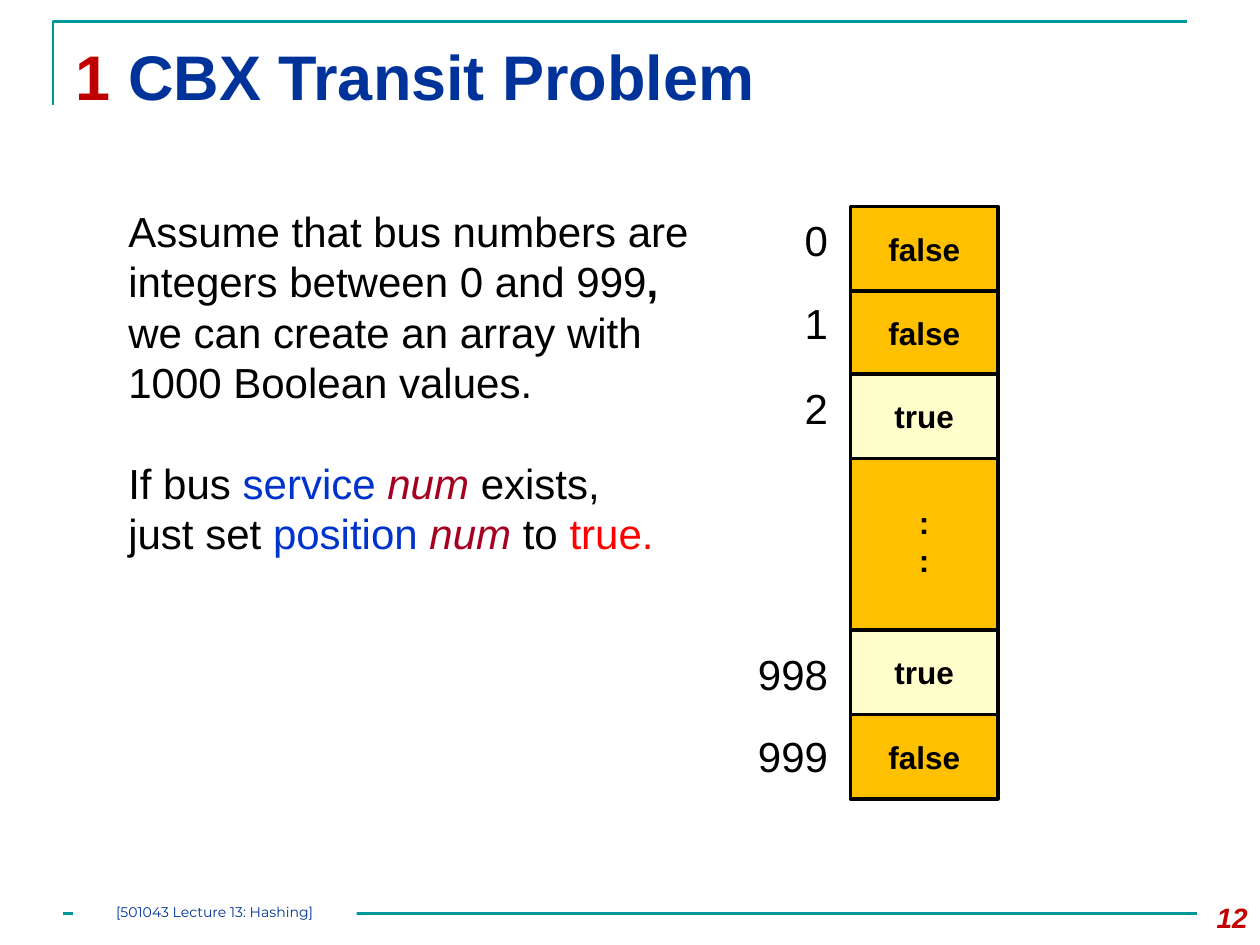
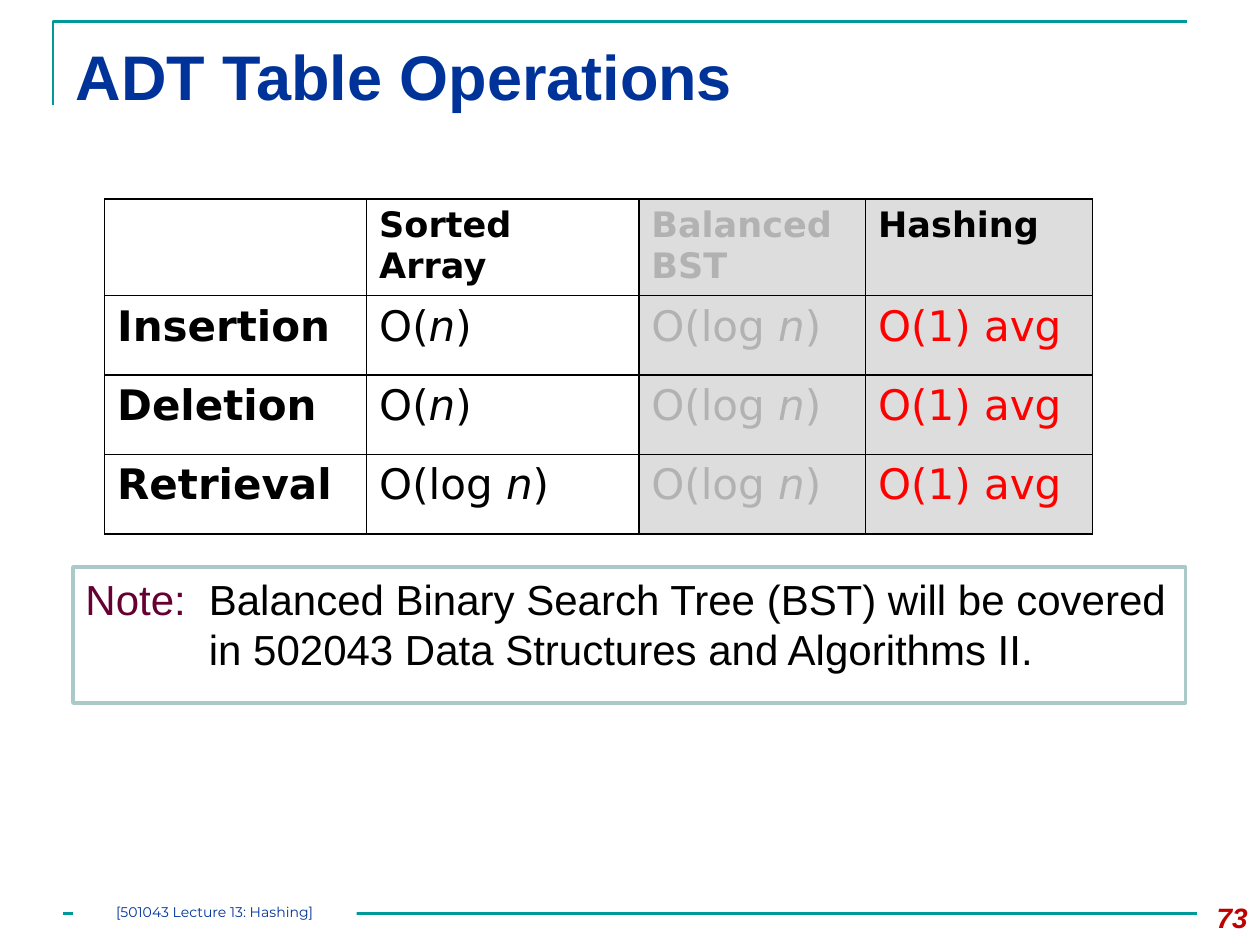
"""Build two lecture slides on hashing: a direct-address bus array and a table of operation costs."""
from lxml import etree
from pptx import Presentation
from pptx.dml.color import RGBColor
from pptx.enum import shapes, text
from pptx.oxml import ns
from pptx.util import Inches, Pt

TEAL, NAVY, CRIMSON, BLACK, WHITE = "009999", "003399", "C00000", "000000", "FFFFFF"
BLUE, WINE, RED = "0033CC", "A50021", "FF0000"
AMBER, CREAM, GREY, PALE_GREY = "FFC000", "FFFFCC", "B2B2B2", "DDDDDD"
LEFT, CENTER, RIGHT = text.PP_ALIGN.LEFT, text.PP_ALIGN.CENTER, text.PP_ALIGN.RIGHT


def write(frame, paragraphs, align=LEFT, anchor=text.MSO_ANCHOR.TOP, margins=(0.1, 0.05), **base):
    """Fill a frame with paragraphs, each a list of (text, format changes) runs."""
    frame.word_wrap = True
    frame.vertical_anchor = anchor
    frame.margin_left = frame.margin_right = Inches(margins[0])
    frame.margin_top = frame.margin_bottom = Inches(margins[1])
    for number, runs in enumerate(paragraphs):
        paragraph = frame.paragraphs[0] if number == 0 else frame.add_paragraph()
        paragraph.alignment = align
        for words, changes in runs:
            style = {"font": "Arial", "size": 24, "color": BLACK, "bold": False, "italic": False}
            style.update(base)
            style.update(changes)
            run = paragraph.add_run()
            run.text = words
            run.font.name = style["font"]
            run.font.size = Pt(style["size"])
            run.font.bold = style["bold"]
            run.font.italic = style["italic"]
            run.font.color.rgb = RGBColor.from_string(style["color"])


def add_box(slide, left, top, width, height, fill=None, line=None):
    """Add a text box, or a rectangle when a fill is given."""
    place = [Inches(length) for length in (left, top, width, height)]
    if fill is None:
        return slide.shapes.add_textbox(*place)
    box = slide.shapes.add_shape(shapes.MSO_SHAPE.RECTANGLE, *place)
    box.shadow.inherit = False
    box.fill.solid()
    box.fill.fore_color.rgb = RGBColor.from_string(fill)
    if line:
        box.line.color.rgb = RGBColor.from_string(line)
        box.line.width = Pt(2)
    else:
        box.line.fill.background()
    return box


deck = Presentation()
deck.slide_width, deck.slide_height = Inches(10), Inches(7.5)

headings = [
    ([("1 ", {"color": CRIMSON}), ("CBX Transit Problem", {})], "12"),
    ([("ADT Table Operations", {})], "73"),
]
slides = []
for heading, page in headings:
    slide = deck.slides.add_slide(deck.slide_layouts[5])
    slides.append(slide)

    outline = slide.shapes.build_freeform(Inches(0.42), Inches(0.83))
    outline.add_line_segments(
        [(Inches(0.42), Inches(0.17)), (Inches(9.42), Inches(0.17))], close=False)
    corner = outline.convert_to_shape()
    corner.fill.background()
    corner.shadow.inherit = False
    rule = slide.shapes.add_connector(
        shapes.MSO_CONNECTOR.STRAIGHT, Inches(0.5), Inches(7.25), Inches(9.5), Inches(7.25))
    etree.SubElement(rule._element.spPr, ns.qn("a:effectLst"))
    for stroke in (corner, rule):
        stroke.line.color.rgb = RGBColor.from_string(TEAL)
        stroke.line.width = Pt(1.5)

    title = slide.shapes.title
    title.left, title.top, title.width, title.height = map(Inches, (0.5, 0.25, 9, 0.86))
    write(title.text_frame, [heading], size=36, bold=True, color=NAVY)
    write(add_box(slide, 9.33, 7.1, 0.67, 0.4).text_frame, [[(page, {})]],
          align=RIGHT, size=16, bold=True, italic=True, color=CRIMSON)
    write(add_box(slide, 0.58, 7.17, 2.25, 0.17, WHITE).text_frame,
          [[("[501043 Lecture 13: Hashing]", {})]],
          align=CENTER, margins=(0, 0), font="Montserrat", size=8, color=NAVY)

array_slide, costs_slide = slides

write(add_box(array_slide, 0.92, 1.58, 4.79, 1.72).text_frame, [
    [("Assume that bus numbers are", {})],
    [("integers between 0 and 999", {}), (",", {"bold": True})],
    [("we can create an array with", {})],
    [("1000 Boolean values.", {})],
])
num = ("num", {"color": WINE, "italic": True})
write(add_box(array_slide, 0.92, 3.58, 4.41, 0.91).text_frame, [
    [("If bus ", {}), ("service ", {"color": BLUE}), num, (" exists,", {})],
    [("just set ", {}), ("position ", {"color": BLUE}), num, (" to ", {}),
     ("true.", {"color": RED})],
])

array_cells = [
    (None, [":", ":"], 3.58, 1.42, None),
    ("0", ["false"], 1.64, 0.67, 1.65),
    ("1", ["false"], 2.31, 0.67, 2.31),
    ("2", ["true"], 2.97, 0.67, 2.99),
    ("998", ["true"], 5, 0.67, 5.1),
    ("999", ["false"], 5.67, 0.67, 5.75),
]
for index, values, top, height, index_top in array_cells:
    fill = CREAM if values == ["true"] else AMBER
    cell = add_box(array_slide, 6.75, top, 1.17, height, fill, BLACK)
    write(cell.text_frame, [[(value, {})] for value in values], align=CENTER,
          anchor=text.MSO_ANCHOR.MIDDLE, size=18, bold=True)
    if index:
        width = 0.58 if len(index) == 1 else 0.92
        write(add_box(array_slide, 6.67 - width, index_top, width, 0.5).text_frame,
              [[(index, {})]], align=RIGHT)

note = add_box(costs_slide, 0.58, 4.5, 8.83, 1.08, WHITE, "AACACA").text_frame
write(note, [[
    ("Note:\t", {"color": "660033"}),
    ("Balanced Binary Search Tree (BST) will be covered in 502043 Data Structures "
     "and Algorithms II.", {}),
]])
hanging = note.paragraphs[0]._p.get_or_add_pPr()
hanging.set("marL", str(Inches(0.98)))
hanging.set("indent", str(-Inches(0.98)))

linear = [("O(", {}), ("n", {"italic": True}), (")", {})]
logarithmic = [("O(log ", {}), ("n", {"italic": True}), (")", {})]
constant = [("O(1) avg", {})]
cost_rows = [
    [[], [("Sorted Array", {})], [("Balanced BST", {})], [("Hashing", {})]],
    [[("Insertion", {})], linear, logarithmic, constant],
    [[("Deletion", {})], linear, logarithmic, constant],
    [[("Retrieval", {})], logarithmic, logarithmic, constant],
]
column_widths = [2.08, 2.16, 1.8, 1.8]
row_heights = [0.75, 0.63, 0.63, 0.63]
costs = costs_slide.shapes.add_table(
    4, 4, Inches(0.83), Inches(1.58),
    Inches(sum(column_widths)), Inches(sum(row_heights))).table
costs.first_row = costs.horz_banding = False
for column, width in zip(costs.columns, column_widths):
    column.width = Inches(width)
for row, height in zip(costs.rows, row_heights):
    row.height = Inches(height)

for r, cost_row in enumerate(cost_rows):
    for c, runs in enumerate(cost_row):
        cell = costs.cell(r, c)
        if c >= 2:
            cell.fill.solid()
            cell.fill.fore_color.rgb = RGBColor.from_string(PALE_GREY)
        else:
            cell.fill.background()
        color = GREY if c == 2 else RED if c == 3 and r > 0 else BLACK
        write(cell.text_frame, [runs], font="DejaVu Sans", size=24 if r else 20,
              bold=r == 0 or c == 0, color=color)
        properties = cell._tc.get_or_add_tcPr()
        for position, side in enumerate(("a:lnL", "a:lnR", "a:lnT", "a:lnB")):
            border = etree.Element(ns.qn(side), w=str(Pt(1)))
            ink = etree.SubElement(border, ns.qn("a:solidFill"))
            etree.SubElement(ink, ns.qn("a:srgbClr"), val=BLACK)
            properties.insert(position, border)

deck.save("out.pptx")
